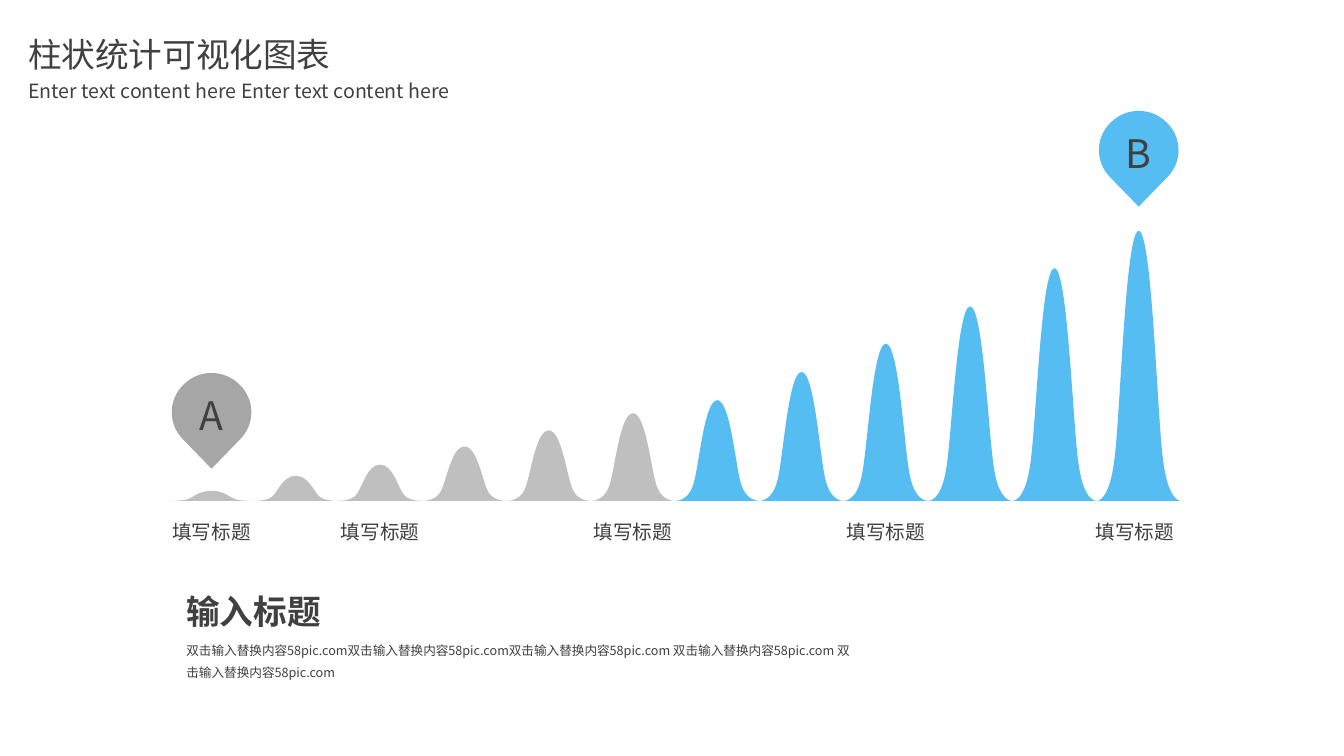
from pptx import Presentation
from pptx.dml.color import RGBColor
from pptx.enum.text import MSO_ANCHOR, MSO_AUTO_SIZE, PP_ALIGN
from pptx.oxml.ns import qn
from pptx.util import Inches, Pt
from lxml.etree import SubElement

FONT = "Noto Sans CJK JP"
INK = RGBColor(0x40, 0x40, 0x40)
SILVER = RGBColor(0xBF, 0xBF, 0xBF)
GREY = RGBColor(0xA6, 0xA6, 0xA6)
BLUE = RGBColor(0x55, 0xBD, 0xF1)

TITLE = "柱状统计可视化图表"
SUBTITLE = "Enter text content here Enter text content here"
HEADING = "输入标题"
BODY = ("双击输入替换内容58pic.com双击输入替换内容58pic.com"
        "双击输入替换内容58pic.com 双击输入替换内容58pic.com 双击输入替换内容58pic.com")
PEAK_HEIGHTS = [0.1, 0.25, 0.36, 0.54, 0.7, 0.87, 1, 1.28, 1.56, 1.93, 2.31, 2.68]
SILVER_PEAKS = 6
PEAK_LABELS = [(0, "填写标题", 0), (2, "填写标题", 0), (5, "填写标题", 0),
               (8, "填写标题", 0), (11, "填写标题", -0.04)]
PINS = [(0, "A", 3.7, GREY), (11, "B", 1.1, BLUE)]

BASELINE = 4.97
FIRST_LEFT = 1.68
PITCH = 0.836
PIN_WIDTH, PIN_HEIGHT = 0.79, 0.95
LABEL_WIDTH = 0.99

PEAK = [
    ("moveTo", [(0, 1)]),
    ("cubicBezTo", [(0.01, 1), (0.15, 1), (0.21, 0.85)]),
    ("cubicBezTo", [(0.28, 0.7), (0.34, 0), (0.5, 0)]),
    ("cubicBezTo", [(0.66, 0), (0.72, 0.7), (0.79, 0.85)]),
    ("cubicBezTo", [(0.85, 1), (0.99, 1), (1, 1)]),
    ("close", []),
]
PIN = [
    ("moveTo", [(0.5, 0)]),
    ("cubicBezTo", [(0.63, 0), (0.75, 0.04), (0.85, 0.12)]),
    ("cubicBezTo", [(1.05, 0.28), (1.05, 0.54), (0.85, 0.7)]),
    ("lnTo", [(0.5, 1)]),
    ("lnTo", [(0.15, 0.7)]),
    ("cubicBezTo", [(-0.05, 0.54), (-0.05, 0.28), (0.15, 0.12)]),
    ("cubicBezTo", [(0.25, 0.04), (0.37, 0), (0.5, 0)]),
    ("close", []),
]


def add_outline(slide, box, commands, color):
    left, top, width, height = map(Inches, box)
    right, bottom = left + width, top + height
    builder = slide.shapes.build_freeform(left, top)
    builder.add_line_segments([(right, top), (right, bottom), (left, bottom)])
    outline = builder.convert_to_shape()
    contour = outline._element.find(".//" + qn("a:path"))
    for segment in list(contour):
        contour.remove(segment)
    for command, points in commands:
        segment = SubElement(contour, qn("a:" + command))
        for x, y in points:
            point = SubElement(segment, qn("a:pt"))
            point.set("x", str(round(x * width)))
            point.set("y", str(round(y * height)))
    outline.shadow.inherit = False
    outline.fill.solid()
    outline.fill.fore_color.rgb = color
    outline.line.fill.background()
    return outline


def write(frame, text, size, align=PP_ALIGN.LEFT, bold=False, spacing=None):
    frame.text = text
    paragraph = frame.paragraphs[0]
    paragraph.alignment = align
    if spacing:
        paragraph.line_spacing = spacing
    for run in paragraph.runs:
        run.font.size = Pt(size)
        run.font.bold = bold
        run.font.color.rgb = INK
        run.font.name = FONT
        SubElement(run.font._element, qn("a:ea")).set("typeface", FONT)


def add_text(slide, box, text, size, wrap=True, **style):
    frame = slide.shapes.add_textbox(*map(Inches, box)).text_frame
    frame.word_wrap = wrap
    frame.auto_size = MSO_AUTO_SIZE.SHAPE_TO_FIT_TEXT
    write(frame, text, size, **style)


def peak_center(index):
    return FIRST_LEFT + PITCH * (index + 0.5)


def main():
    deck = Presentation()
    deck.slide_width, deck.slide_height = Inches(13.33), Inches(7.5)
    slide = deck.slides.add_slide(deck.slide_layouts[6])

    for index, height in enumerate(PEAK_HEIGHTS):
        box = (FIRST_LEFT + PITCH * index, BASELINE - height, PITCH, height)
        add_outline(slide, box, PEAK, SILVER if index < SILVER_PEAKS else BLUE)

    for index, letter, top, color in PINS:
        box = (peak_center(index) - PIN_WIDTH / 2, top, PIN_WIDTH, PIN_HEIGHT)
        frame = add_outline(slide, box, PIN, color).text_frame
        frame.margin_left = frame.margin_right = frame.margin_bottom = 0
        frame.margin_top = Inches(0.18)
        frame.vertical_anchor = MSO_ANCHOR.TOP
        write(frame, letter, 28, align=PP_ALIGN.CENTER)

    for index, label, nudge in PEAK_LABELS:
        left = peak_center(index) - LABEL_WIDTH / 2 + nudge
        add_text(slide, (left, 5.11, LABEL_WIDTH, 0.34), label, 14,
                 wrap=False, align=PP_ALIGN.CENTER)

    add_text(slide, (1.75, 5.81, 1.55, 0.5), HEADING, 24, wrap=False, bold=True)
    add_text(slide, (1.75, 6.25, 6.84, 0.53), BODY, 9, spacing=1.5)
    add_text(slide, (0.18, 0.29, 3.78, 0.5), TITLE, 24)
    add_text(slide, (0.18, 0.73, 6.24, 0.34), SUBTITLE, 14)
    deck.save("out.pptx")


if __name__ == "__main__":
    main()
